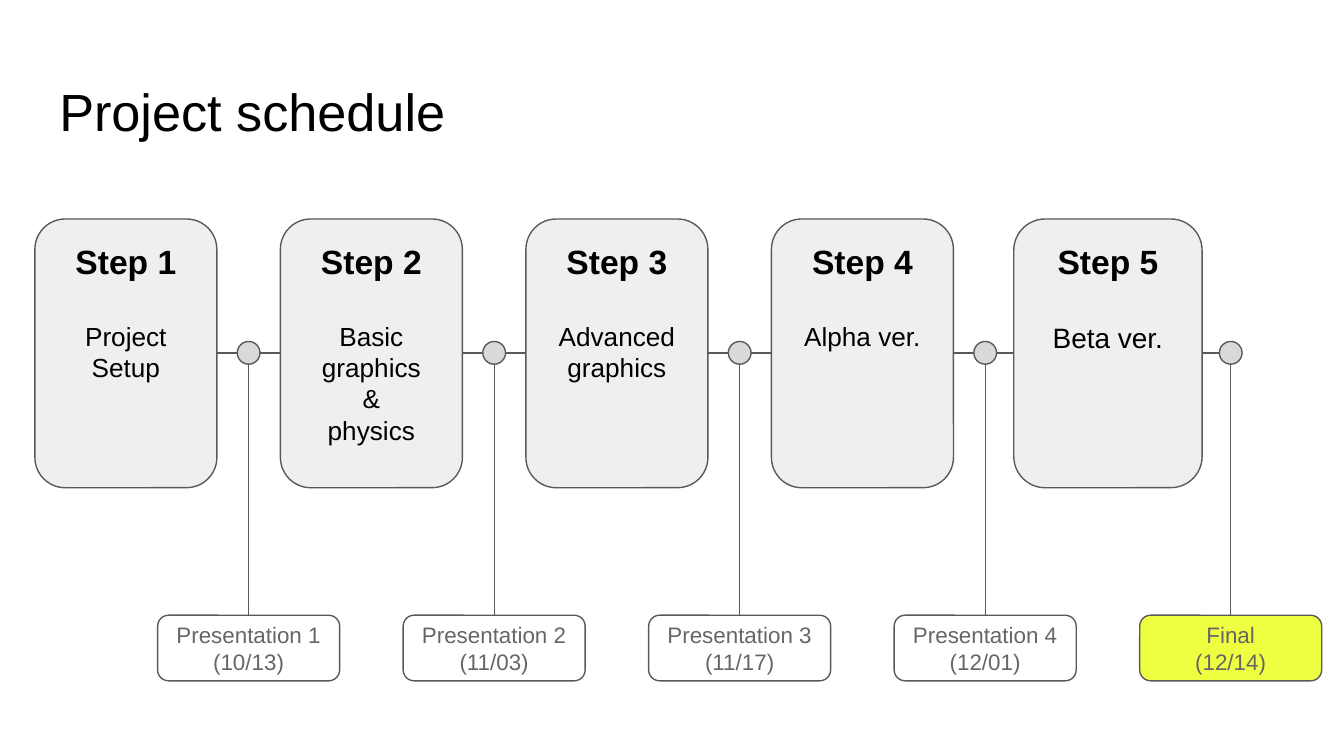
import pptx
import pptx.util
import pptx.dml.color
import pptx.enum.shapes
import pptx.enum.text
import lxml.etree
from dataclasses import dataclass
from pptx.util import Cm, Pt

SHAPE = pptx.enum.shapes.MSO_SHAPE
ALIGN = pptx.enum.text.PP_ALIGN
ANCHOR = pptx.enum.text.MSO_ANCHOR


@dataclass(frozen=True)
class Theme:
    font: str = "Arial"
    ink: str = "000000"
    muted: str = "666666"
    line: str = "595959"
    card: str = "EFEFEF"
    dot: str = "D9D9D9"
    accent: str = "EEFF41"
    title_size: float = 28
    heading_size: float = 18
    body_size: float = 14
    final_body_size: float = 15
    label_size: float = 12
    line_width: float = 0.75


THEME = Theme()

# Step name, body lines, body size, card width in cm
STEPS = [
    ("Step 1", ["Project", "Setup"], THEME.body_size, 3.44),
    ("Step 2", ["Basic graphics", "&", "physics"], THEME.body_size, 3.44),
    ("Step 3", ["Advanced graphics"], THEME.body_size, 3.44),
    ("Step 4", ["Alpha ver."], THEME.body_size, 3.44),
    ("Step 5", ["Beta ver."], THEME.final_body_size, 3.56),
]

# Label, date, fill
MILESTONES = [
    ("Presentation 1", "(10/13)", None),
    ("Presentation 2", "(11/03)", None),
    ("Presentation 3", "(11/17)", None),
    ("Presentation 4", "(12/01)", None),
    ("Final", "(12/14)", THEME.accent),
]

PITCH = 4.64
RAIL_Y = 6.67
DOT = 0.43


def rgb(value):
    return pptx.dml.color.RGBColor.from_string(value)


def add_line(page, x1, y1, x2, y2):
    line = page.shapes.add_connector(
        pptx.enum.shapes.MSO_CONNECTOR.STRAIGHT, Cm(x1), Cm(y1), Cm(x2), Cm(y2))
    line.line.color.rgb = rgb(THEME.line)
    line.line.width = Pt(THEME.line_width)
    lxml.etree.SubElement(line._element.spPr, pptx.oxml.ns.qn("a:effectLst"))


def add_outlined(page, kind, left, top, width, height, fill):
    shape = page.shapes.add_shape(kind, Cm(left), Cm(top), Cm(width), Cm(height))
    shape.shadow.inherit = False
    if fill:
        shape.fill.solid()
        shape.fill.fore_color.rgb = rgb(fill)
    else:
        shape.fill.background()
    shape.line.color.rgb = rgb(THEME.line)
    shape.line.width = Pt(THEME.line_width)
    return shape


def prepare_frame(frame, anchor):
    frame.word_wrap = True
    frame.vertical_anchor = anchor
    frame.margin_left = frame.margin_right = Cm(0.25)
    frame.margin_top = frame.margin_bottom = Cm(0.25)


def write_para(para, text, size, color, bold=False, align=ALIGN.CENTER):
    para.text = text
    para.alignment = align
    para.font.name = THEME.font
    para.font.size = Pt(size)
    para.font.bold = bold
    para.font.color.rgb = rgb(color)


def place_title(page, text, left, top, width, height):
    title = page.shapes.title
    title.left, title.top = Cm(left), Cm(top)
    title.width, title.height = Cm(width), Cm(height)
    prepare_frame(title.text_frame, ANCHOR.TOP)
    title.text_frame.auto_size = pptx.enum.text.MSO_AUTO_SIZE.NONE
    write_para(title.text_frame.paragraphs[0], text, THEME.title_size,
               THEME.ink, align=ALIGN.LEFT)


def add_step(page, step, left, top, width, height):
    name, lines, size, _ = step
    card = add_outlined(page, SHAPE.ROUNDED_RECTANGLE, left, top, width, height,
                        THEME.card)
    frame = card.text_frame
    prepare_frame(frame, ANCHOR.TOP)
    write_para(frame.paragraphs[0], name, THEME.heading_size, THEME.ink, bold=True)
    for index, text in enumerate(lines):
        para = frame.add_paragraph()
        if index == 0:
            para.space_before = Pt(20.7)
        write_para(para, text, size, THEME.ink)


def add_milestone(page, milestone, left, top, width, height):
    """Dot on the rail, stem, and a label at the foot of the box."""
    name, date, fill = milestone
    label_height = 1.24
    center = left + width / 2
    label_top = top + height - label_height
    add_outlined(page, SHAPE.OVAL, center - DOT / 2, top, DOT, DOT, THEME.dot)
    add_line(page, center, top + DOT, center, label_top)
    label = add_outlined(page, SHAPE.ROUNDED_RECTANGLE, left, label_top, width,
                         label_height, fill)
    frame = label.text_frame
    prepare_frame(frame, ANCHOR.MIDDLE)
    write_para(frame.paragraphs[0], name, THEME.label_size, THEME.muted)
    write_para(frame.add_paragraph(), date, THEME.label_size, THEME.muted)


def add_timeline(page, left, top, width, height):
    step_width, step_height = 3.44, 5.08
    first_milestone = left + PITCH / 2
    dot_top = RAIL_Y - DOT / 2

    # Rail behind the cards
    add_line(page, left + step_width, RAIL_Y,
             left + width - step_width / 2 - DOT / 2, RAIL_Y)

    # Step cards, centred on an even pitch
    for index, step in enumerate(STEPS):
        center = left + step_width / 2 + index * PITCH
        add_step(page, step, center - step[3] / 2, top, step[3], step_height)

    # Milestones, halfway between the cards
    for index, milestone in enumerate(MILESTONES):
        add_milestone(page, milestone, first_milestone + index * PITCH, dot_top,
                      step_width, top + height - dot_top)


def main():
    deck = pptx.Presentation()
    deck.slide_width, deck.slide_height = Cm(25.4), Cm(14.29)
    page = deck.slides.add_slide(deck.slide_layouts[5])
    place_title(page, "Project schedule", 0.87, 1.24, 23.67, 1.6)
    add_timeline(page, 0.66, 4.14, 4.5 * PITCH + 3.44, 8.73)
    deck.save("out.pptx")


if __name__ == "__main__":
    main()
